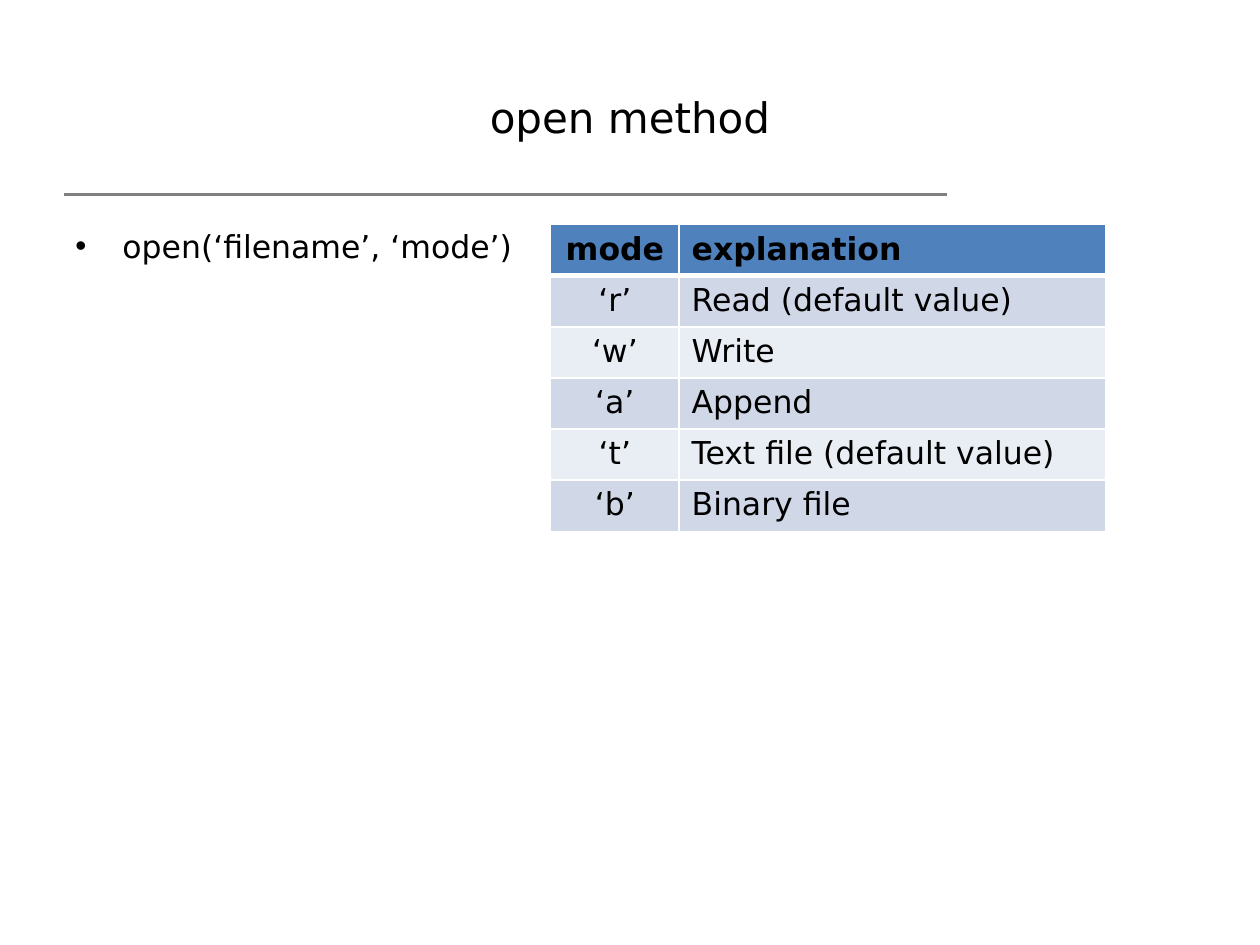
from lxml.etree import SubElement
from pptx import Presentation
from pptx.dml.color import RGBColor
from pptx.enum.shapes import MSO_CONNECTOR
from pptx.enum.text import MSO_ANCHOR, PP_ALIGN
from pptx.oxml.ns import qn
from pptx.util import Cm, Pt

# Content
FONT = "DejaVu Sans"
TITLE = "open method"
SYNTAX = "open(‘filename’, ‘mode’)"
MODES = [
    ("mode", "explanation"),
    ("‘r’", "Read (default value)"),
    ("‘w’", "Write"),
    ("‘a’", "Append"),
    ("‘t’", "Text file (default value)"),
    ("‘b’", "Binary file"),
]
COL_WIDTHS = [Cm(2.59), Cm(8.61)]
ROW_HEIGHT = Cm(1.03)
HEADER_FILL, BAND_FILLS = "4F81BD", ("E9EDF4", "D0D8E8")


def rgb(value):
    return RGBColor.from_string(value)


def format_text(p, size, bold=False, align=PP_ALIGN.LEFT):
    p.alignment = align
    for r in p.runs:
        r.font.name, r.font.size, r.font.bold = FONT, Pt(size), bold
        r.font.color.rgb = rgb("000000")


def add_border(cell, side, width, color="FFFFFF"):
    tc_pr = cell._tc.get_or_add_tcPr()
    ln = SubElement(tc_pr, qn(f"a:ln{side}"), w=str(Pt(width)))
    fill = SubElement(ln, qn("a:solidFill"))
    SubElement(fill, qn("a:srgbClr"), val=color)


prs = Presentation()
prs.slide_width, prs.slide_height = Cm(25.4), Cm(19.05)
s = prs.slides.add_slide(prs.slide_layouts[5])

# Title
title = s.shapes.title
title.left, title.top, title.width, title.height = Cm(1.27), Cm(0.76), Cm(22.86), Cm(3.18)
title.text_frame.text = TITLE
title.text_frame.vertical_anchor = MSO_ANCHOR.MIDDLE
format_text(title.text_frame.paragraphs[0], 24, align=PP_ALIGN.CENTER)

# Rule under the title
rule = s.shapes.add_connector(MSO_CONNECTOR.STRAIGHT, Cm(1.3), Cm(3.93), Cm(19.1), Cm(3.93))
rule.line.color.rgb = rgb("808080")
rule.line.width = Pt(1.75)
SubElement(rule._element.spPr, qn("a:effectLst"))

# Bulleted syntax line
body = s.shapes.add_textbox(Cm(1.27), Cm(4.45), Cm(22.86), Cm(12.57))
tf = body.text_frame
tf.word_wrap = True
p = tf.paragraphs[0]
p.text = SYNTAX
p.space_before = Pt(3.6)
format_text(p, 18)
p_pr = p._p.get_or_add_pPr()
p_pr.set("marL", str(Cm(0.95)))
p_pr.set("indent", str(-Cm(0.95)))
SubElement(p_pr, qn("a:buFont"), typeface="Arial")
SubElement(p_pr, qn("a:buChar"), char="•")

# Table of modes
table = s.shapes.add_table(len(MODES), len(COL_WIDTHS), Cm(11.1), Cm(4.53),
                           sum(COL_WIDTHS), ROW_HEIGHT * len(MODES)).table
for column, width in zip(table.columns, COL_WIDTHS):
    column.width = width
for i, row in enumerate(MODES):
    table.rows[i].height = ROW_HEIGHT
    for j, text in enumerate(row):
        cell = table.cell(i, j)
        cell.text = text
        format_text(cell.text_frame.paragraphs[0], 18, bold=i == 0,
                    align=PP_ALIGN.LEFT if j else PP_ALIGN.CENTER)
        widths = {"L": 1, "R": 1, "T": 3 if i == 1 else 1, "B": 3 if i == 0 else 1}
        for side, width in widths.items():
            add_border(cell, side, width)
        cell.fill.solid()
        cell.fill.fore_color.rgb = rgb(BAND_FILLS[i % 2] if i else HEADER_FILL)

prs.save("out.pptx")
